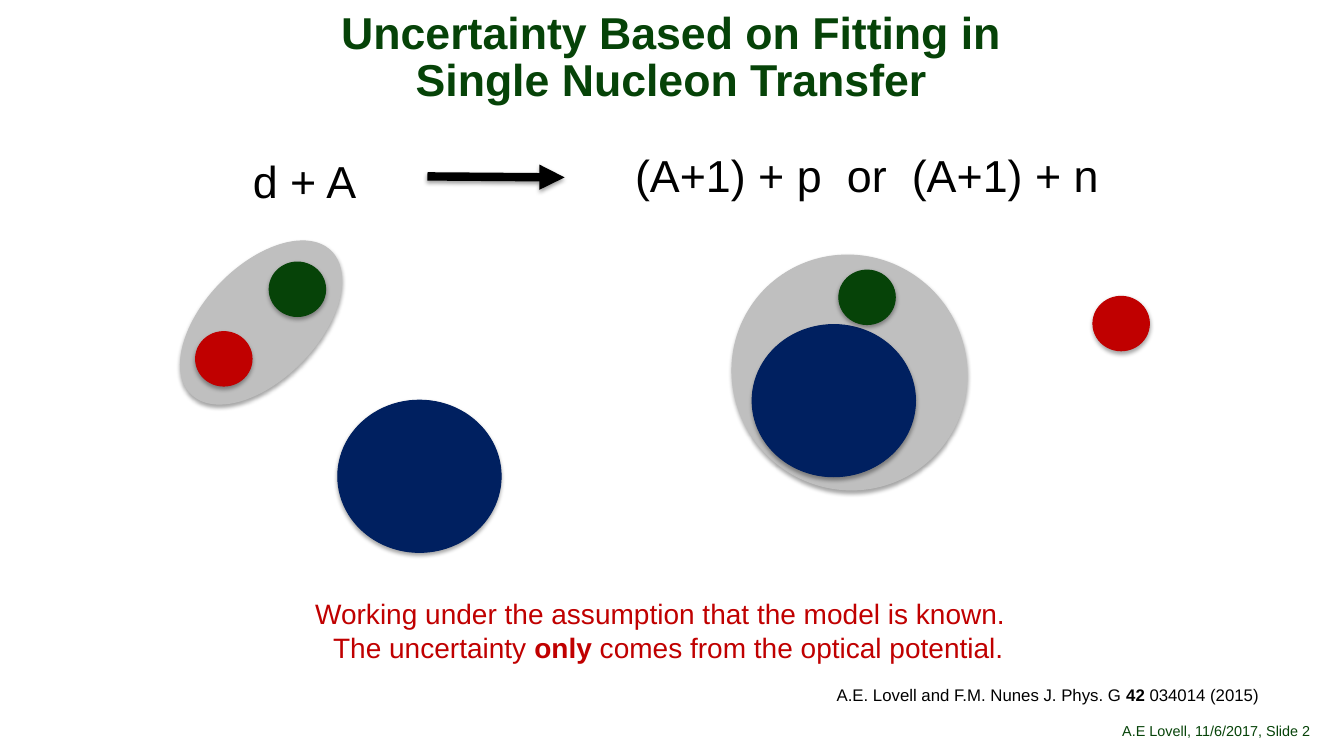
from dataclasses import dataclass

from lxml.etree import SubElement
from pptx import Presentation
from pptx.dml.color import RGBColor
from pptx.enum.shapes import MSO_CONNECTOR, MSO_SHAPE
from pptx.enum.text import MSO_ANCHOR, PP_ALIGN
from pptx.oxml.ns import qn
from pptx.util import Inches, Pt


@dataclass(frozen=True)
class Theme:
    font: str = "Arial"
    green: str = "064308"
    red: str = "C00000"
    navy: str = "002060"
    grey: str = "BFBFBF"
    black: str = "000000"
    title_size: float = 31.9
    reaction_size: float = 32
    remark_size: float = 20
    citation_size: float = 12
    footer_size: float = 10.3


THEME = Theme()
TILT = 314.3
NUCLEON = (0.56, 0.54)
TARGET = (1.62, 1.51)


def rgb(color):
    return RGBColor.from_string(color)


def style_run(run, size, color, bold=False):
    run.font.name = THEME.font
    run.font.size = Pt(size)
    run.font.color.rgb = rgb(color)
    run.font.bold = bold


def add_runs(paragraph, texts, size, color, bold_text=None):
    for text in texts:
        run = paragraph.add_run()
        run.text = text
        style_run(run, size, color, text == bold_text)


def add_text_box(slide, box):
    text_frame = slide.shapes.add_textbox(*map(Inches, box)).text_frame
    text_frame.word_wrap = True
    return text_frame


def add_shadow(shape, opacity, distance):
    """Drop a soft black shadow straight down; call after the line is set."""
    effects = SubElement(shape._element.spPr, qn("a:effectLst"))
    shadow = SubElement(effects, qn("a:outerShdw"), blurRad=str(Pt(3.1)),
                        dist=str(Pt(distance)), dir="5400000", rotWithShape="0")
    color = SubElement(shadow, qn("a:srgbClr"), val=THEME.black)
    SubElement(color, qn("a:alpha"), val=str(opacity * 1000))


def add_ellipse(slide, left, top, size, color, rotation=0):
    ellipse = slide.shapes.add_shape(
        MSO_SHAPE.OVAL, *map(Inches, (left, top, *size)))
    ellipse.rotation = rotation
    ellipse.fill.solid()
    ellipse.fill.fore_color.rgb = rgb(color)
    ellipse.line.color.rgb = rgb(color)
    ellipse.line.width = Pt(0.75)
    add_shadow(ellipse, 35, 1.8)


def add_title(slide, box):
    title = slide.shapes.title
    title.left, title.top, title.width, title.height = map(Inches, box)
    text_frame = title.text_frame
    text_frame.margin_left = text_frame.margin_right = Inches(0.06)
    text_frame.margin_top = text_frame.margin_bottom = Inches(0.03)
    text_frame.vertical_anchor = MSO_ANCHOR.MIDDLE
    text_frame.text = "Uncertainty Based on Fitting in\vSingle Nucleon Transfer"
    paragraph = text_frame.paragraphs[0]
    paragraph.alignment = PP_ALIGN.CENTER
    paragraph.line_spacing = 0.88
    for run in paragraph.runs:
        style_run(run, THEME.title_size, THEME.green, True)


def add_reaction(slide, left, top):
    """Write the reaction equation with an arrow between its two sides."""
    before = add_text_box(slide, (left, top + 0.06, 1.27, 0.64))
    add_runs(before.paragraphs[0], ["d + A"], THEME.reaction_size, THEME.black)

    after = add_text_box(slide, (left + 3.79, top, 5.06, 0.64)).paragraphs[0]
    add_runs(after, ["(A+1) + p", " ", "or", " ", "(A+1) + n"],
             THEME.reaction_size, THEME.black)
    for run in after.runs:
        if run.text == " ":
            run.font._element.set("spc", "890")

    arrow = slide.shapes.add_connector(MSO_CONNECTOR.STRAIGHT, *map(Inches, (
        left + 1.83, top + 0.33, left + 3.19, top + 0.34)))
    arrow.line.color.rgb = rgb(THEME.black)
    arrow.line.width = Pt(6)
    SubElement(arrow.line._ln, qn("a:tailEnd"), type="triangle")
    add_shadow(arrow, 38, 1.6)


def add_initial_state(slide, left, top):
    """Draw the deuteron approaching the target nucleus."""
    add_ellipse(slide, left, top + 0.04, (1.98, 1.12), THEME.grey, TILT)
    add_ellipse(slide, left + 1.75, top + 1.37, TARGET, THEME.navy)
    add_ellipse(slide, left + 0.34, top + 0.69, NUCLEON, THEME.red)
    add_ellipse(slide, left + 1.07, top, NUCLEON, THEME.green)


def add_final_state(slide, left, top):
    """Draw the target with the captured nucleon, and the outgoing one."""
    add_ellipse(slide, left, top, (2.31, 2.35), THEME.grey, TILT)
    add_ellipse(slide, left + 0.19, top + 0.7, TARGET, THEME.navy)
    add_ellipse(slide, left + 3.57, top + 0.42, NUCLEON, THEME.red)
    add_ellipse(slide, left + 1.05, top + 0.16, NUCLEON, THEME.green)


def add_remark(slide, box):
    text_frame = add_text_box(slide, box)
    first, second = text_frame.paragraphs[0], text_frame.add_paragraph()
    second._p.get_or_add_pPr().set("marL", str(Inches(0.16)))
    first.alignment = second.alignment = PP_ALIGN.CENTER
    add_runs(first, ["Working under the assumption that the model is known."],
             THEME.remark_size, THEME.red)
    add_runs(second, ["The uncertainty ", "only", " comes from the optical potential."],
             THEME.remark_size, THEME.red, "only")


def add_citation(slide, box):
    paragraph = add_text_box(slide, box).paragraphs[0]
    add_runs(paragraph, ["A.E. Lovell and F.M. Nunes J. Phys. G ", "42", " 034014 (2015)"],
             THEME.citation_size, THEME.black, "42")


def add_footer(slide, box):
    text_frame = add_text_box(slide, box)
    text_frame.margin_left = text_frame.margin_right = 0
    text_frame.margin_top = text_frame.margin_bottom = 0
    paragraph = text_frame.paragraphs[0]
    paragraph.alignment = PP_ALIGN.RIGHT
    paragraph.line_spacing = 0.9
    add_runs(paragraph, ["A.E Lovell, 11/6/2017, Slide 2"],
             THEME.footer_size, THEME.green)


def main():
    presentation = Presentation()
    presentation.slide_width = Inches(13.33)
    presentation.slide_height = Inches(7.5)
    slide = presentation.slides.add_slide(
        presentation.slide_layouts.get_by_name("Title Only"))
    add_footer(slide, (9.33, 7.18, 3.67, 0.16))
    add_title(slide, (0.63, 0.08, 12.06, 1))
    add_remark(slide, (1.88, 5.87, 9.34, 0.77))
    add_citation(slide, (8.2, 6.74, 4.5, 0.3))
    add_final_state(slide, 7.27, 2.52)
    add_initial_state(slide, 1.6, 2.6)
    add_reaction(slide, 2.41, 1.42)
    presentation.save("out.pptx")


if __name__ == "__main__":
    main()
